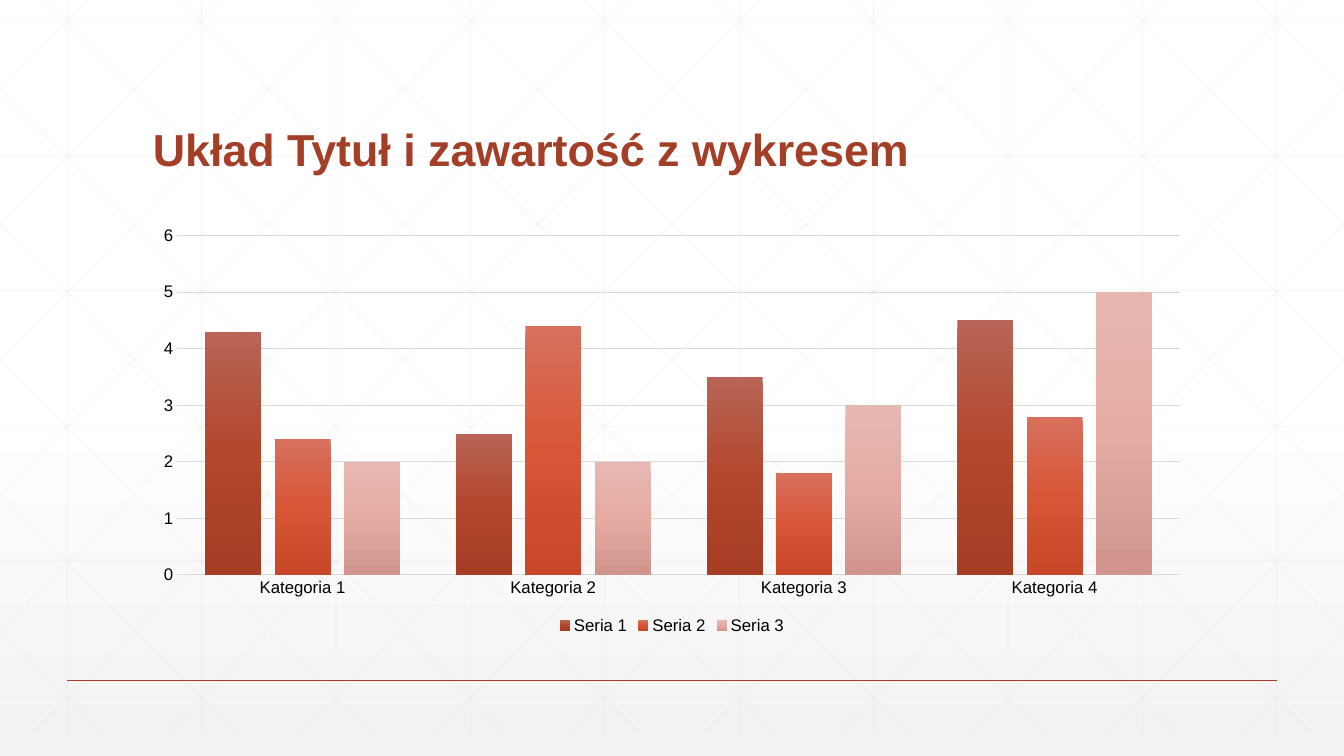
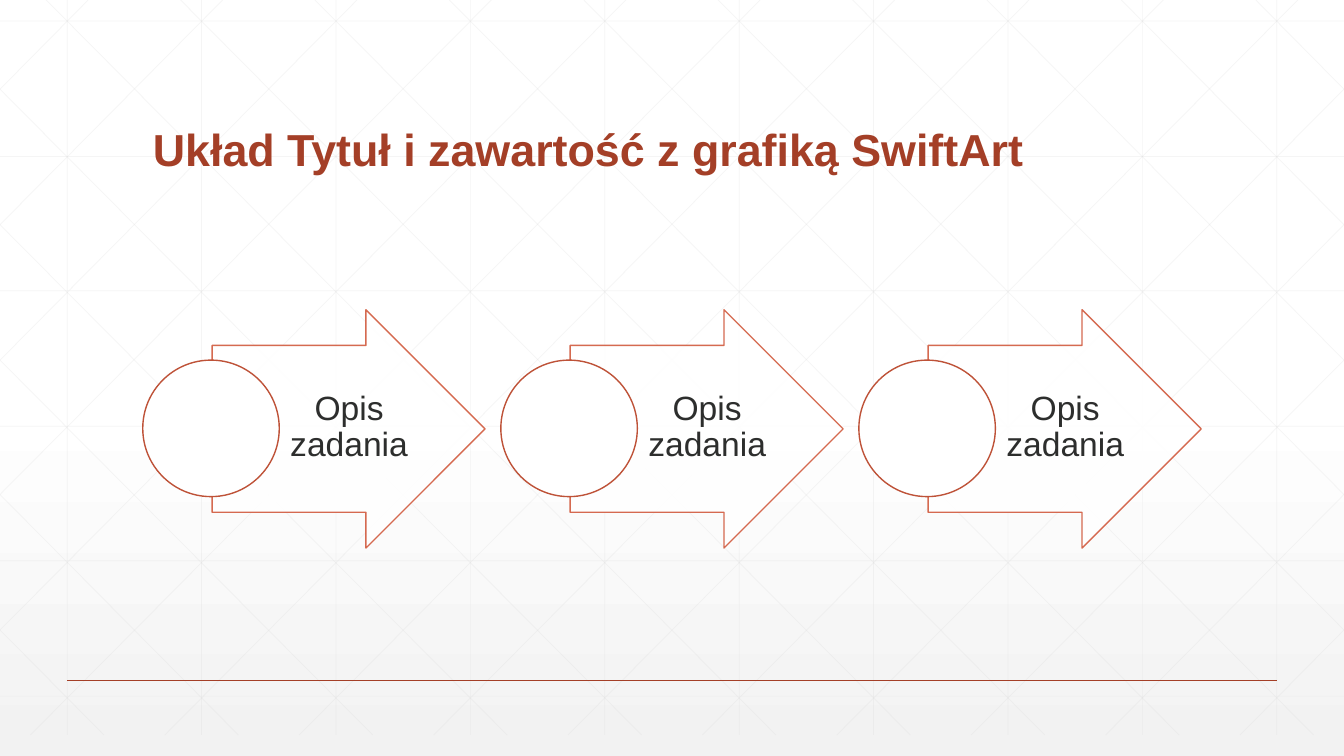
from lxml import etree
from pptx import Presentation
from pptx.chart.data import CategoryChartData
from pptx.dml.color import RGBColor
from pptx.enum.chart import XL_CHART_TYPE, XL_LEGEND_POSITION, XL_TICK_MARK
from pptx.enum.shapes import MSO_CONNECTOR, MSO_SHAPE, PP_PLACEHOLDER
from pptx.enum.text import MSO_ANCHOR, MSO_AUTO_SIZE, PP_ALIGN
from pptx.oxml.ns import qn
from pptx.util import Pt

COLUMNS = XL_CHART_TYPE.COLUMN_CLUSTERED
LEGEND_BOTTOM = XL_LEGEND_POSITION.BOTTOM
NO_TICK = XL_TICK_MARK.NONE
STRAIGHT = MSO_CONNECTOR.STRAIGHT
ARROW, OVAL = MSO_SHAPE.RIGHT_ARROW, MSO_SHAPE.OVAL
TITLE = PP_PLACEHOLDER.TITLE
BOTTOM, MIDDLE = MSO_ANCHOR.BOTTOM, MSO_ANCHOR.MIDDLE
NO_FIT = MSO_AUTO_SIZE.NONE
LEFT, CENTER = PP_ALIGN.LEFT, PP_ALIGN.CENTER

PX = 9525
WIDTH, HEIGHT = 1280, 720
FONT = "Arial"
RUST, INK, GRID, BLACK, WHITE = "A43F27", "2D2E2D", "D9D9D9", "000000", "FFFFFF"
ARROW_LINE, CIRCLE_LINE = "D15A3E", "BE5238"


def rgb(value):
    return RGBColor.from_string(value)


def set_gradient(fill, root, stops):
    fill.gradient()
    fill.gradient_angle = 270
    gs_lst = root.find(".//" + qn("a:gsLst"))
    gs_lst.clear()
    for pos, colour in stops:
        gs = etree.SubElement(gs_lst, qn("a:gs"), pos=str(pos * 1000))
        etree.SubElement(gs, qn("a:srgbClr"), val=colour)


prs = Presentation()
prs.slide_width, prs.slide_height = WIDTH * PX, HEIGHT * PX
layout = prs.slide_layouts[5]
for ph in list(layout.placeholders):
    if ph.placeholder_format.type != TITLE:
        ph.element.getparent().remove(ph.element)
set_gradient(layout.background.fill, layout.element, [(0, WHITE), (53, WHITE), (100, "F2F2F2")])

slides = []
for title in ("Układ Tytuł i zawartość z wykresem", "Układ Tytuł i zawartość z grafiką SwiftArt"):
    s = prs.slides.add_slide(layout)
    slides.append(s)
    sp = s.shapes.title
    sp.left, sp.top, sp.width, sp.height = [v * PX for v in (136, 53, 1008, 120)]
    tf = sp.text_frame
    tf.text = title
    tf.word_wrap = True
    tf.auto_size = NO_FIT
    tf.vertical_anchor = BOTTOM
    p = tf.paragraphs[0]
    p.alignment = LEFT
    p.line_spacing = 0.9
    f = p.runs[0].font
    f.name, f.size, f.bold = FONT, Pt(32), True
    f.color.rgb = rgb(RUST)
chart_slide, process_slide = slides

grid_top, grid_bottom, pitch = -20, 700, 128
diagonal_run = 715
slope = diagonal_run / (grid_bottom - grid_top)
grid = [(64 + pitch * i, 0, 64 + pitch * i, grid_bottom) for i in range(10)]
grid += [(0, round(20 + 128.6 * i), WIDTH, round(20 + 128.6 * i)) for i in range(6)]
for i in range(-5, 10):
    x0 = 24 + pitch * i
    x1 = max(0, round(x0 - grid_top * slope))
    x2 = min(WIDTH, x0 + diagonal_run)
    y1, y2 = [round(grid_top + (x - x0) / slope) for x in (x1, x2)]
    grid += [(x1, y1, x2, y2), (WIDTH - x1, y1, WIDTH - x2, y2)]
lines = [(ends, GRID, 0.5, 25) for ends in grid]
lines.append(((64, 648, 1216, 648), RUST, 1, 100))

connectors = []
for ends, colour, weight, opacity in lines:
    sp = chart_slide.shapes.add_connector(STRAIGHT, *[v * PX for v in ends])
    sp.line.color.rgb = rgb(colour)
    sp.line.width = Pt(weight)
    clr = sp.element.find(".//" + qn("a:srgbClr"))
    etree.SubElement(clr, qn("a:alpha"), val=str(opacity * 1000))
    etree.SubElement(sp.element.spPr, qn("a:effectLst"))
    connectors.append(sp.element)
for element in connectors:
    layout.shapes.element.append(element)

data = CategoryChartData()
data.categories = [f"Kategoria {i}" for i in range(1, 5)]
data.add_series("Seria 1", (4.3, 2.5, 3.5, 4.5))
data.add_series("Seria 2", (2.4, 4.4, 1.8, 2.8))
data.add_series("Seria 3", (2, 2, 3, 5))
box = [v * PX for v in (136, 208, 1008, 400)]
chart = chart_slide.shapes.add_chart(COLUMNS, *box, data).chart
chart.has_title = False
chart.font.name, chart.font.size = FONT, Pt(12)
chart.font.color.rgb = rgb(BLACK)
chart.has_legend = True
chart.legend.position = LEGEND_BOTTOM
chart.legend.include_in_layout = False

plot = chart.plots[0]
plot.gap_width, plot.overlap = 100, -24
plot.vary_by_categories = False
series_colours = [
    ("B86456", "B3472D", "A53C23"),
    ("D7705D", "D85537", "C84728"),
    ("E7B8B2", "E5ABA3", "D0948D"),
]
for ser, element, colours in zip(plot.series, chart.element.iter(qn("c:ser")), series_colours):
    set_gradient(ser.format.fill, element, zip((0, 50, 100), colours))

cat, val = chart.category_axis, chart.value_axis
val.minimum_scale, val.maximum_scale, val.major_unit = 0, 6, 1
val.has_major_gridlines = True
for axis in (cat, val):
    axis.major_tick_mark = axis.minor_tick_mark = NO_TICK
for line in (cat.format.line, val.major_gridlines.format.line):
    line.color.rgb = rgb(GRID)
    line.width = Pt(0.75)
val.format.line.fill.background()

for i in range(3):
    x = 136 + 341 * i
    arrow = process_slide.shapes.add_shape(ARROW, *[v * PX for v in (x + 66, 295, 260, 227)])
    arrow.adjustments[0], arrow.adjustments[1] = 0.7, 0.5

    label = process_slide.shapes.add_textbox(*[v * PX for v in (x + 131, 328, 127, 159)])
    tf = label.text_frame
    tf.text = "Opis zadania"
    tf.word_wrap = True
    tf.vertical_anchor = MIDDLE
    tf.margin_left, tf.margin_top, tf.margin_right, tf.margin_bottom = [v * PX for v in (7, 2, 3, 2)]
    p = tf.paragraphs[0]
    p.alignment = CENTER
    p.line_spacing = 0.9
    f = p.runs[0].font
    f.name, f.size = FONT, Pt(24)
    f.color.rgb = rgb(INK)

    circle = process_slide.shapes.add_shape(OVAL, *[v * PX for v in (x, 343, 130, 130)])
    for sp, colour in ((arrow, ARROW_LINE), (circle, CIRCLE_LINE)):
        sp.shadow.inherit = False
        sp.fill.solid()
        sp.fill.fore_color.rgb = rgb(WHITE)
        sp.line.color.rgb = rgb(colour)
        sp.line.width = Pt(1)
    for clr in arrow.element.iter(qn("a:srgbClr")):
        etree.SubElement(clr, qn("a:alpha"), val="90000")

prs.save("out.pptx")
